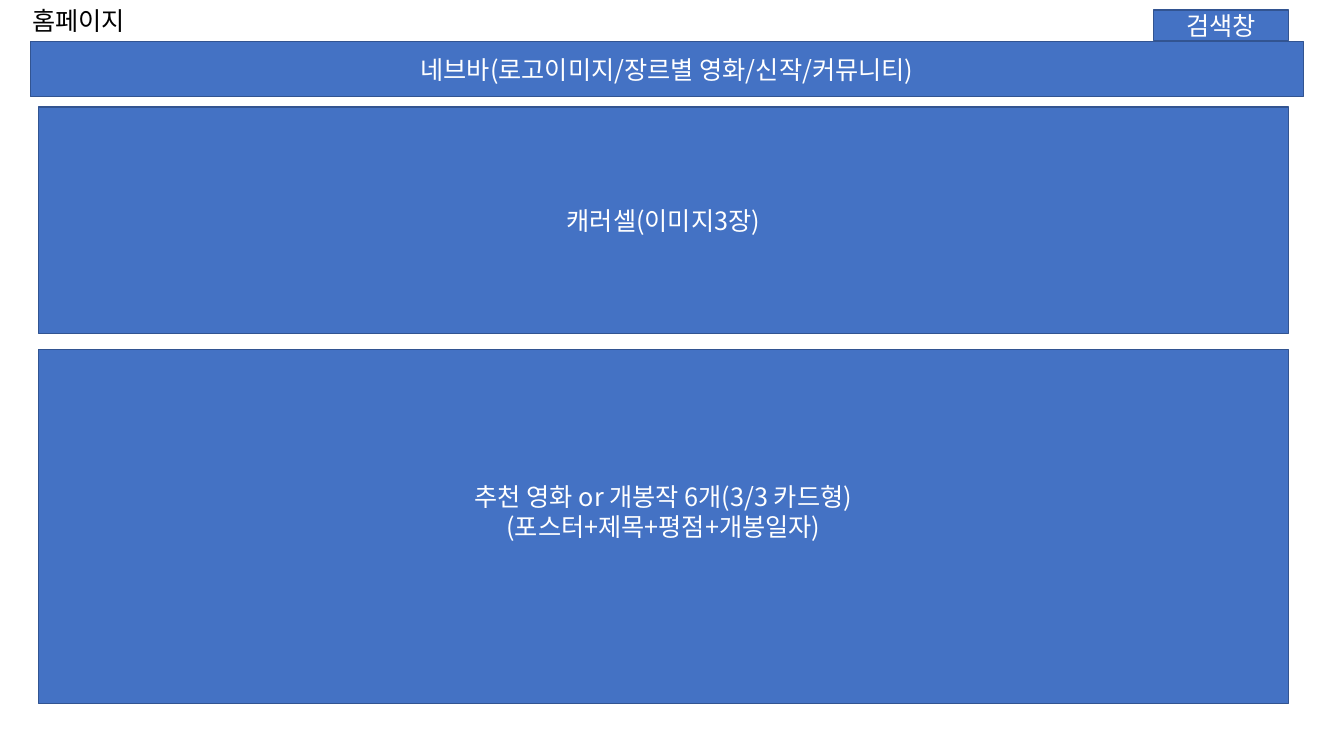
import pptx
import pptx.util
import pptx.dml.color
import pptx.enum.shapes
import pptx.enum.text
import pptx.oxml
import pptx.oxml.ns
from dataclasses import dataclass

Inches = pptx.util.Inches
Align = pptx.enum.text.PP_ALIGN
Anchor = pptx.enum.text.MSO_ANCHOR

HEADING = {"lines": ["홈페이지"], "box": (0.22, 0, 1.47, 0.4)}
CONTENT_LEFT, CONTENT_WIDTH = 0.38, 12.4
CONTENT_RIGHT = CONTENT_LEFT + CONTENT_WIDTH
SEARCH_WIDTH = 1.34
SECTIONS = [
    {"lines": ["네브바(로고이미지/장르별 영화/신작/커뮤니티)"], "box": (0.3, 0.41, 12.63, 0.55)},
    {"lines": ["검색창"], "box": (CONTENT_RIGHT - SEARCH_WIDTH, 0.1, SEARCH_WIDTH, 0.3)},
    {"lines": ["캐러셀(이미지3장)"], "box": (CONTENT_LEFT, 1.06, CONTENT_WIDTH, 2.25)},
    {
        "lines": ["추천 영화 or 개봉작 6개(3/3 카드형)", "(포스터+제목+평점+개봉일자)"],
        "box": (CONTENT_LEFT, 3.47, CONTENT_WIDTH, 3.51),
        "bottom": 0.35,
    },
]


@dataclass(frozen=True)
class Theme:
    font: str = "Noto Sans CJK KR"
    size: int = 18
    heading: str = "000000"
    label: str = "FFFFFF"
    fill: str = "4472C4"
    outline: str = "325491"
    outline_width: int = 1


THEME = Theme()


def rgb(value):
    return pptx.dml.color.RGBColor.from_string(value)


def apply(target, formats):
    for attribute, value in formats.items():
        setattr(target, attribute, value)


def place(part, box):
    apply(part, dict(zip(("left", "top", "width", "height"), map(Inches, box))))


def write(part, lines, color, align, anchor, bottom=0.05):
    frame = part.text_frame
    apply(frame, {
        "word_wrap": True,
        "auto_size": pptx.enum.text.MSO_AUTO_SIZE.NONE,
        "vertical_anchor": anchor,
        "margin_left": Inches(0.1),
        "margin_right": Inches(0.1),
        "margin_top": Inches(0.05),
        "margin_bottom": Inches(bottom),
    })
    for index, line in enumerate(lines):
        paragraph = frame.add_paragraph() if index else frame.paragraphs[0]
        paragraph.alignment = align
        run = paragraph.add_run()
        run.text = line
        apply(run.font, {"name": THEME.font, "size": pptx.util.Pt(THEME.size)})
        run.font.color.rgb = rgb(color)
        east_asian = pptx.oxml.parse_xml(
            f'<a:ea {pptx.oxml.ns.nsdecls("a")} typeface="{THEME.font}"/>'
        )
        run.font._element.find(pptx.oxml.ns.qn("a:latin")).addnext(east_asian)


def add_section(slide, section):
    block = slide.shapes.add_shape(
        pptx.enum.shapes.MSO_SHAPE.RECTANGLE, *map(Inches, section["box"])
    )
    block.shadow.inherit = False
    block.fill.solid()
    block.fill.fore_color.rgb = rgb(THEME.fill)
    block.line.color.rgb = rgb(THEME.outline)
    block.line.width = pptx.util.Pt(THEME.outline_width)
    write(block, section["lines"], THEME.label, Align.CENTER, Anchor.MIDDLE,
          section.get("bottom", 0.05))


def main():
    deck = pptx.Presentation()
    apply(deck, {"slide_width": Inches(13.33), "slide_height": Inches(7.5)})
    homepage = deck.slides.add_slide(deck.slide_layouts[5])
    heading = homepage.shapes.title
    place(heading, HEADING["box"])
    write(heading, HEADING["lines"], THEME.heading, Align.LEFT, Anchor.TOP)
    for section in SECTIONS:
        add_section(homepage, section)
    deck.save("out.pptx")


if __name__ == "__main__":
    main()
